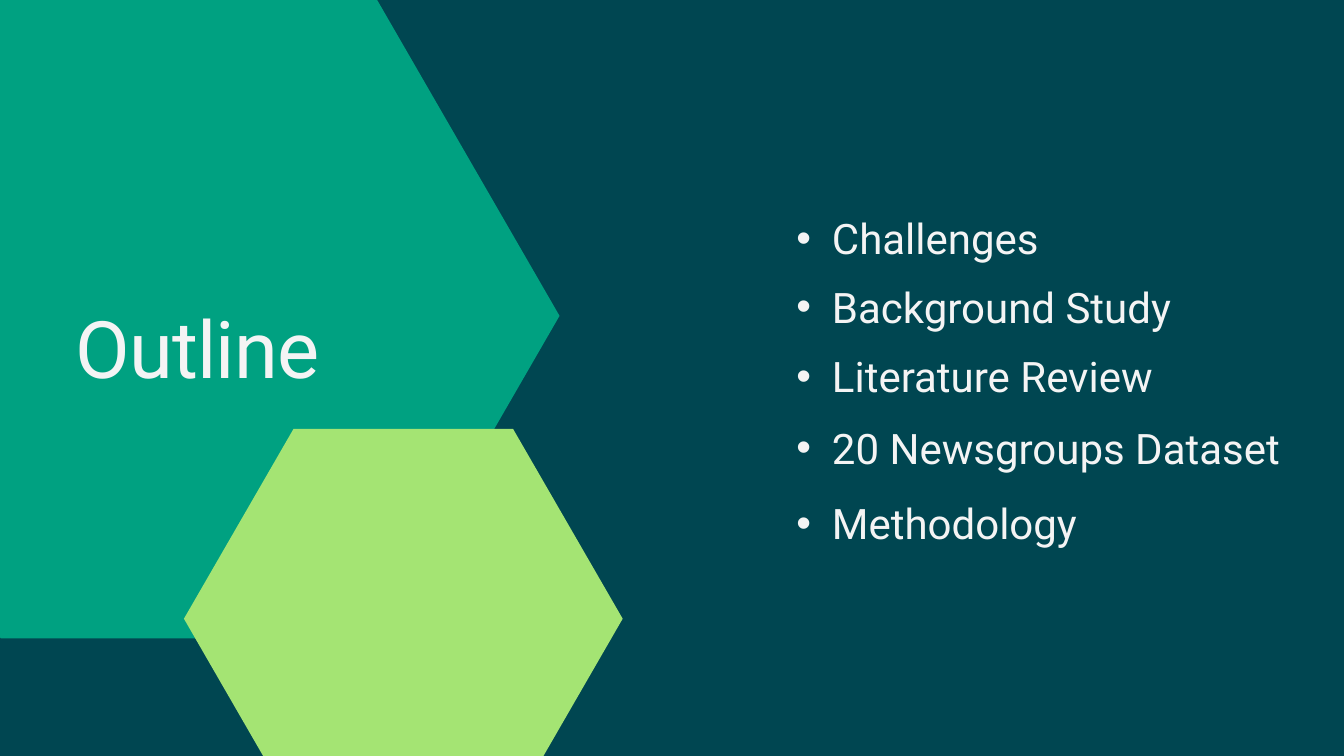
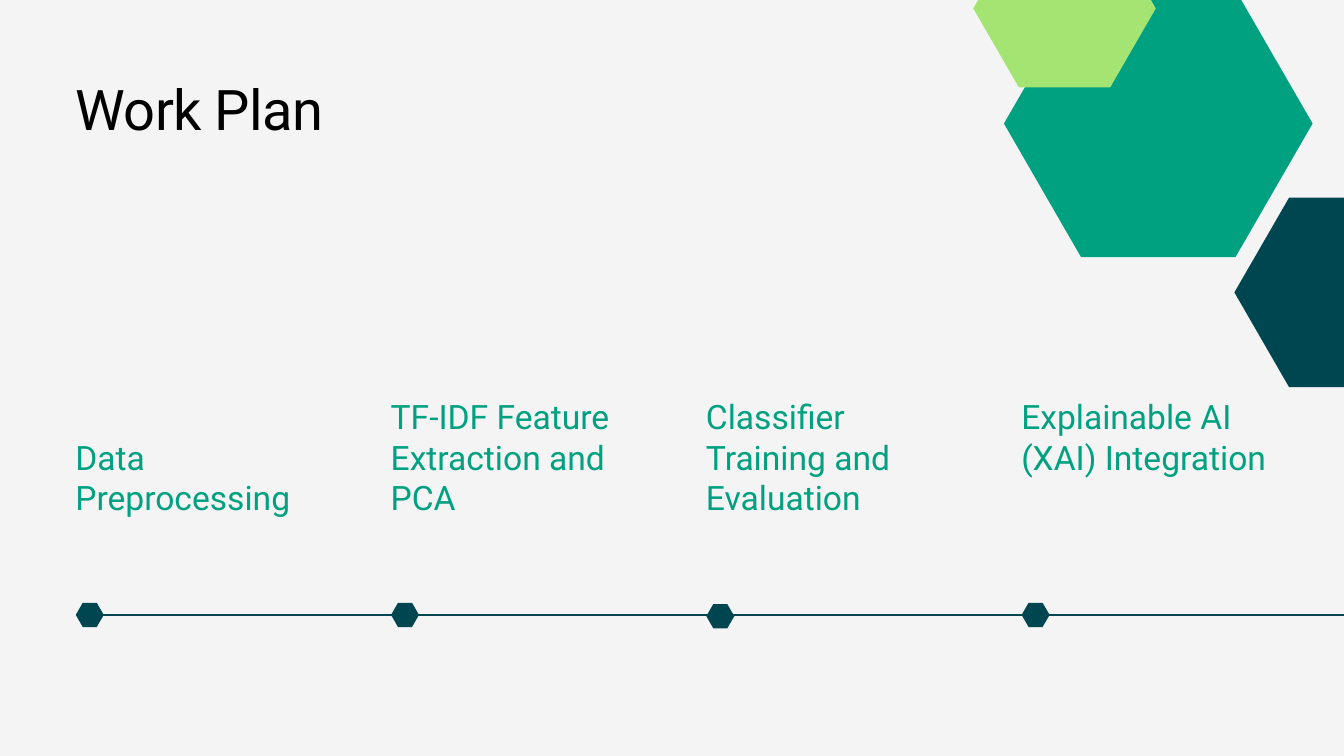
from lxml import etree
from pptx import Presentation
from pptx.dml.color import RGBColor
from pptx.enum.shapes import MSO_CONNECTOR
from pptx.enum.text import MSO_AUTO_SIZE
from pptx.oxml.ns import qn
from pptx.util import Pt

STRAIGHT = MSO_CONNECTOR.STRAIGHT
GROW = MSO_AUTO_SIZE.SHAPE_TO_FIT_TEXT

COLOURS = {
    "dark": "004651",
    "green": "00A181",
    "lime": "A4E473",
    "light": "F4F4F4",
    "black": "000000",
}
FONT = "Roboto"
PAGE_WIDTH, PAGE_HEIGHT = 1440, 810
MARGIN = 80.8
HEXAGON_RATIO = 3 ** 0.5 / 2


def colour(name):
    return RGBColor.from_string(COLOURS[name])


class Deck:
    def __init__(self):
        self.deck = Presentation()
        self.deck.slide_width = Pt(PAGE_WIDTH)
        self.deck.slide_height = Pt(PAGE_HEIGHT)
        self.page = None

    def add_page(self, background):
        self.page = self.deck.slides.add_slide(self.deck.slide_layouts[6])
        fill = self.page.background.fill
        fill.solid()
        fill.fore_color.rgb = colour(background)

    def hexagon(self, left, top, width, fill):
        """Draw a regular hexagon with flat top and bottom edges."""
        height = width * HEXAGON_RATIO
        corners = [(1, 0.5), (0.75, 1), (0.25, 1), (0, 0.5), (0.25, 0), (0.75, 0)]
        points = [(Pt(left + x * width), Pt(top + y * height)) for x, y in corners]
        builder = self.page.shapes.build_freeform(*points[0])
        builder.add_line_segments(points[1:], close=True)
        shape = builder.convert_to_shape()
        shape.shadow.inherit = False
        shape.fill.solid()
        shape.fill.fore_color.rgb = colour(fill)
        shape.line.fill.background()

    def line(self, left, right, y):
        connector = self.page.shapes.add_connector(
            STRAIGHT, Pt(left), Pt(y), Pt(right), Pt(y))
        connector.line.color.rgb = colour("dark")
        connector.line.width = Pt(1.5)
        properties = connector._element.spPr
        etree.SubElement(properties, qn("a:effectLst"))

    def text(self, content, place, size, spacing, ink, bullet=False, tracking=0):
        box = self.page.shapes.add_textbox(*(Pt(length) for length in place))
        frame = box.text_frame
        frame.word_wrap = True
        frame.auto_size = GROW
        frame.margin_left = frame.margin_right = 0
        frame.margin_top = frame.margin_bottom = 0
        paragraph = frame.paragraphs[0]
        span = paragraph.add_run()
        span.text = content
        paragraph.line_spacing = Pt(spacing)
        if bullet:
            self.add_bullet(paragraph)
        paragraph.font.name = FONT
        paragraph.font.size = Pt(size)
        paragraph.font.color.rgb = colour(ink)
        if tracking:
            span._r.get_or_add_rPr().set("spc", str(round(tracking * 100)))

    def add_bullet(self, paragraph):
        paragraph.level = 1
        properties = paragraph._p.get_or_add_pPr()
        properties.set("marL", str(Pt(76.4)))
        properties.set("indent", str(-Pt(38.2)))
        etree.SubElement(properties, qn("a:buFont"), typeface="Arial")
        etree.SubElement(properties, qn("a:buChar"), char="•")

    def title(self, content, top, width, size, ink):
        self.text(content, (MARGIN, top, width, size * 1.2), size, size * 1.2,
                  ink, tracking=-size / 100)

    def save(self):
        self.deck.save("out.pptx")


def build_outline(deck):
    deck.add_page("dark")
    deck.hexagon(-198.7, -7.2, 798.2, "green")
    deck.hexagon(197.1, 459.4, 470.1, "lime")
    deck.title("Outline", 321.1, 351.4, 85, "light")
    topics = [
        ("Challenges", 218.9, 481),
        ("Background Study", 292.3, 481),
        ("Literature Review", 366.5, 481),
        ("20 Newsgroups Dataset", 443.5, 562.3),
        ("Methodology", 524.2, 481),
    ]
    for topic, top, width in topics:
        deck.text(topic, (815, top, width, 59.8), 45, 63, "light", bullet=True)


def build_work_plan(deck):
    deck.add_page("light")
    axis, marker, pitch, spacing = 658.8, 30, 337.8, 43.2
    deck.line(100, PAGE_WIDTH, axis)
    # Step name, line count above the axis, marker drop
    steps = [
        ("Data Preprocessing", 2, 0),
        ("TF-IDF Feature Extraction and PCA", 3, 0),
        ("Classifier Training and Evaluation", 3, 1.4),
        ("Explainable AI (XAI) Integration", 3, 0),
    ]
    for index, (step, lines, drop) in enumerate(steps):
        left = MARGIN + index * pitch
        height = lines * spacing
        deck.text(step, (left, 554.2 - height, 265, height), 36, spacing, "green")
        deck.hexagon(left + 0.4, axis - marker * HEXAGON_RATIO / 2 + drop,
                     marker, "dark")
    deck.title("Work Plan", 79.9, 448.6, 60, "black")
    deck.hexagon(1322.6, 211.7, 234.7, "dark")
    deck.hexagon(1075.7, -10.8, 330.7, "green")
    deck.hexagon(1042.8, -75.6, 195.5, "lime")


def main():
    deck = Deck()
    build_outline(deck)
    build_work_plan(deck)
    deck.save()


if __name__ == "__main__":
    main()
